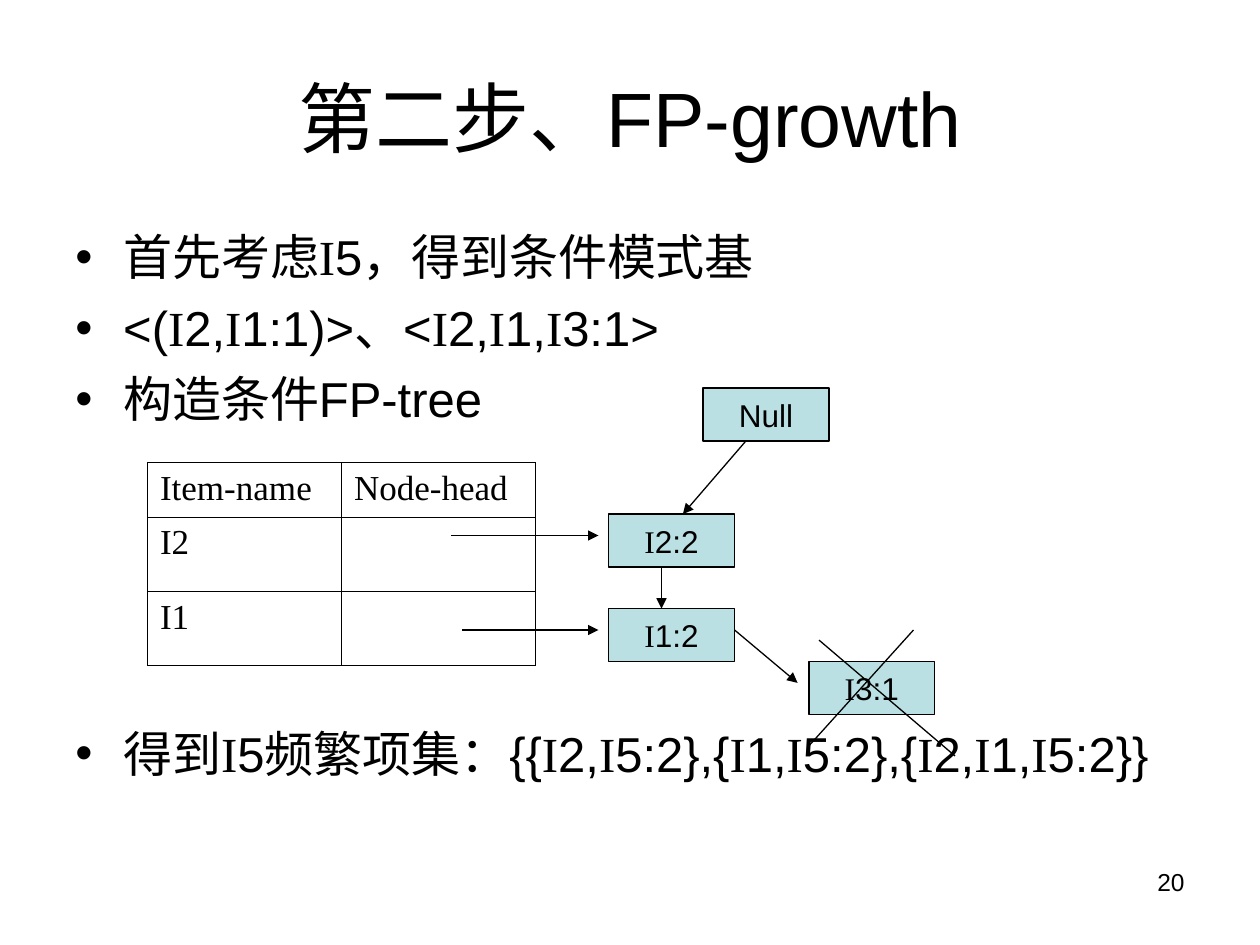
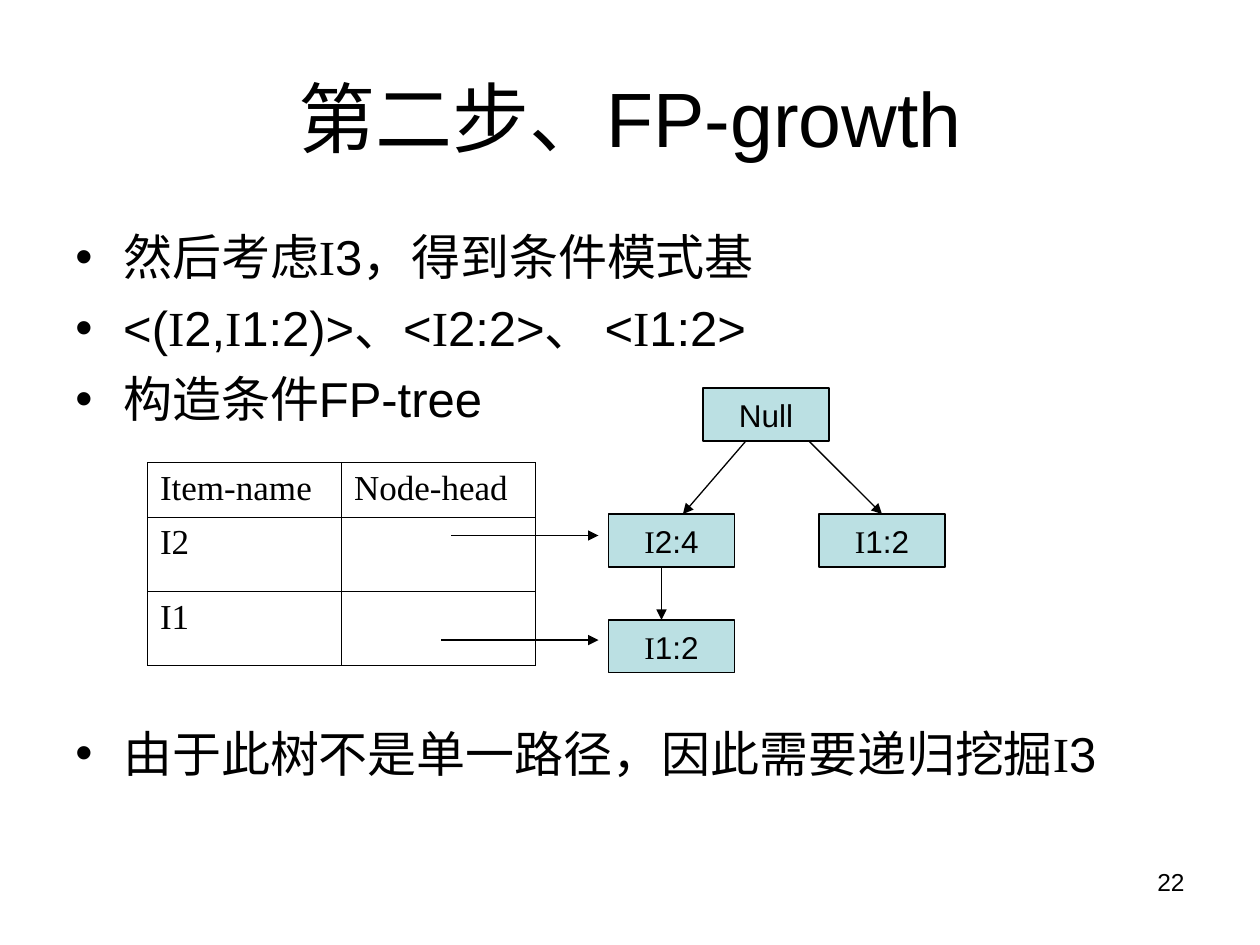
from dataclasses import dataclass

from lxml import etree
from pptx import Presentation
from pptx.dml.color import RGBColor
from pptx.enum import shapes as sh, text as tx
from pptx.oxml.ns import qn
from pptx.util import Inches, Pt

COLORS = {"ink": "000000", "node": "BBE0E3"}
SANS, SERIF = "Arial", "Times New Roman"
TITLE = "第二步、FP-growth"
TABLE = [("Item-name", "Node-head"), ("I2", ""), ("I1", "")]
ROWS = (0.43, 0.59, 0.59)
COL = 1.54
NODE_W, NODE_H = 1, 0.42
INDENT = 0.38
GAP, TREE_GAP = 7, 169  # points above a bullet, and above the one below the tree


@dataclass
class Node:
    label: str
    left: float
    top: float


@dataclass
class Line:
    x1: float
    y1: float
    x2: float
    y2: float
    arrow: bool = True


@dataclass
class Page:
    number: str
    width: float
    points: list[str]
    nodes: list[Node]
    lines: list[Line]


# Parts of the tree found on both slides
ROOT = Node("Null", 5.58, 3.08)
SHARED = [Line(5.92, 3.5, 5.42, 4.08), Line(3.58, 4.25, 4.75, 4.25)]

PAGES = [
    Page("20", 8.83,
         ["首先考虑I5，得到条件模式基", "<(I2,I1:1)>、<I2,I1,I3:1>", "构造条件FP-tree",
          "得到I5频繁项集：{{I2,I5:2},{I1,I5:2},{I2,I1,I5:2}}"],
         [ROOT, Node("I2:2", 4.83, 4.08), Node("I1:2", 4.83, 4.83), Node("I3:1", 6.42, 5.25)],
         SHARED + [Line(5.25, 4.5, 5.25, 4.83), Line(3.67, 5, 4.75, 5),
                   Line(5.83, 5, 6.33, 5.42),
                   Line(6.5, 5.08, 7.58, 6, False), Line(7.25, 5, 6.42, 5.92, False)]),
    Page("22", 8.33,
         ["然后考虑I3，得到条件模式基", "<(I2,I1:2)>、<I2:2>、 <I1:2>", "构造条件FP-tree",
          "由于此树不是单一路径，因此需要递归挖掘I3"],
         [ROOT, Node("I2:4", 4.83, 4.08), Node("I1:2", 4.83, 4.92), Node("I1:2", 6.5, 4.08)],
         SHARED + [Line(5.25, 4.5, 5.25, 4.92), Line(6.42, 3.5, 7, 4.08),
                   Line(3.5, 5.08, 4.75, 5.08)]),
]


def color(name: str) -> RGBColor:
    return RGBColor.from_string(COLORS[name])


def add_run(para, text: str, size: float, font: str) -> None:
    run = para.add_run()
    run.text = text
    run.font.size = Pt(size)
    run.font.name = font
    run.font.color.rgb = color("ink")


def add_mixed(para, text: str, size: float) -> None:
    """Set each item letter I in the serif font and the rest in sans."""
    for i, part in enumerate(text.split("I")):
        if i:
            add_run(para, "I", size, SERIF)
        if part:
            add_run(para, part, size, SANS)


def add_box(slide, left: float, top: float, width: float, height: float):
    box = slide.shapes.add_textbox(*map(Inches, (left, top, width, height)))
    box.text_frame.word_wrap = True
    return box.text_frame


def add_label(slide, place: tuple, text: str, size: float, align, anchor) -> None:
    frame = add_box(slide, *place)
    frame.vertical_anchor = anchor
    frame.paragraphs[0].alignment = align
    add_run(frame.paragraphs[0], text, size, SANS)


def add_points(slide, page: Page) -> None:
    frame = add_box(slide, 0.5, 1.75, page.width, 4.95)
    for i, point in enumerate(page.points):
        para = frame.add_paragraph() if i else frame.paragraphs[0]
        para.space_before = Pt(TREE_GAP if point == page.points[-1] else GAP)
        props = para._p.get_or_add_pPr()
        props.set("marL", str(Inches(INDENT)))
        props.set("indent", str(-Inches(INDENT)))
        etree.SubElement(props, qn("a:buFont")).set("typeface", SANS)
        etree.SubElement(props, qn("a:buChar")).set("char", "•")
        add_mixed(para, point, 28)


def add_border(cell) -> None:
    props = cell._tc.get_or_add_tcPr()
    for i, side in enumerate(("lnL", "lnR", "lnT", "lnB")):
        edge = etree.Element(qn(f"a:{side}"), w=str(Pt(0.45)))
        fill = etree.SubElement(edge, qn("a:solidFill"))
        etree.SubElement(fill, qn("a:srgbClr")).set("val", COLORS["ink"])
        props.insert(i, edge)


def add_grid(slide) -> None:
    place = map(Inches, (1.17, 3.67, 2 * COL, sum(ROWS)))
    table = slide.shapes.add_table(len(TABLE), 2, *place).table
    table.first_row = table.horz_banding = False
    for col in table.columns:
        col.width = Inches(COL)
    for row, height, texts in zip(table.rows, ROWS, TABLE):
        row.height = Inches(height)
        for cell, text in zip(row.cells, texts):
            cell.fill.background()
            add_border(cell)
            if text:
                add_run(cell.text_frame.paragraphs[0], text, 20, SERIF)


def add_node(slide, node: Node) -> None:
    place = map(Inches, (node.left, node.top, NODE_W, NODE_H))
    box = slide.shapes.add_shape(sh.MSO_SHAPE.RECTANGLE, *place)
    box.shadow.inherit = False
    box.fill.solid()
    box.fill.fore_color.rgb = color("node")
    box.line.color.rgb = color("ink")
    box.line.width = Pt(0.75)
    frame = box.text_frame
    frame.word_wrap = False
    frame.vertical_anchor = tx.MSO_ANCHOR.MIDDLE
    frame.paragraphs[0].alignment = tx.PP_ALIGN.CENTER
    add_mixed(frame.paragraphs[0], node.label, 18)


def add_line(slide, line: Line) -> None:
    ends = map(Inches, (line.x1, line.y1, line.x2, line.y2))
    link = slide.shapes.add_connector(sh.MSO_CONNECTOR.STRAIGHT, *ends)
    link.line.color.rgb = color("ink")
    link.line.width = Pt(0.75)
    if line.arrow:
        etree.SubElement(link.line._get_or_add_ln(), qn("a:tailEnd")).set("type", "triangle")
    etree.SubElement(link._element.spPr, qn("a:effectLst"))


def add_page(deck, page: Page) -> None:
    slide = deck.slides.add_slide(deck.slide_layouts[6])
    # Title and bullets
    add_label(slide, (0.5, 0.3, 9, 1.25), TITLE, 44,
              tx.PP_ALIGN.CENTER, tx.MSO_ANCHOR.MIDDLE)
    add_points(slide, page)
    # Header table and tree
    add_grid(slide)
    for node in page.nodes:
        add_node(slide, node)
    for line in page.lines:
        add_line(slide, line)
    # Page number
    add_label(slide, (7.17, 6.83, 2.33, 0.52), page.number, 14,
              tx.PP_ALIGN.RIGHT, tx.MSO_ANCHOR.TOP)


def main() -> None:
    deck = Presentation()
    deck.slide_width, deck.slide_height = Inches(10), Inches(7.5)
    for page in PAGES:
        add_page(deck, page)
    deck.save("out.pptx")


if __name__ == "__main__":
    main()
